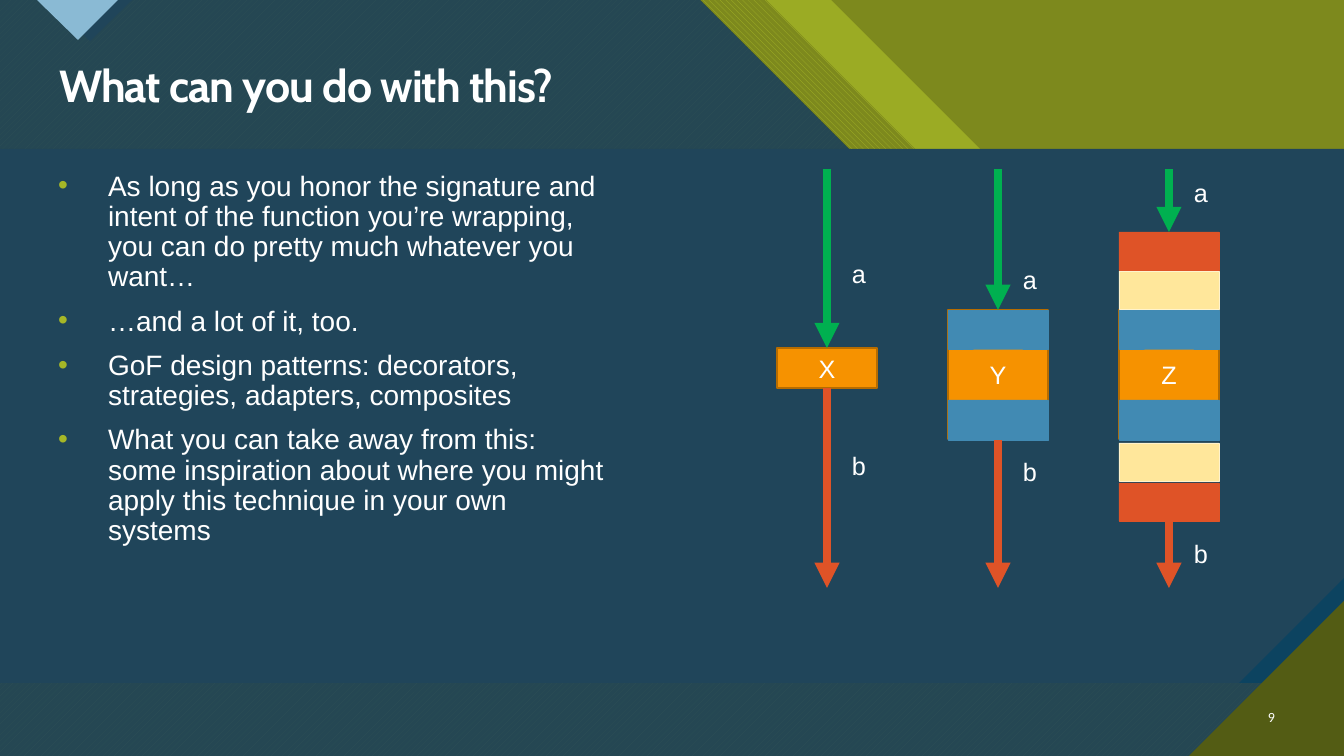
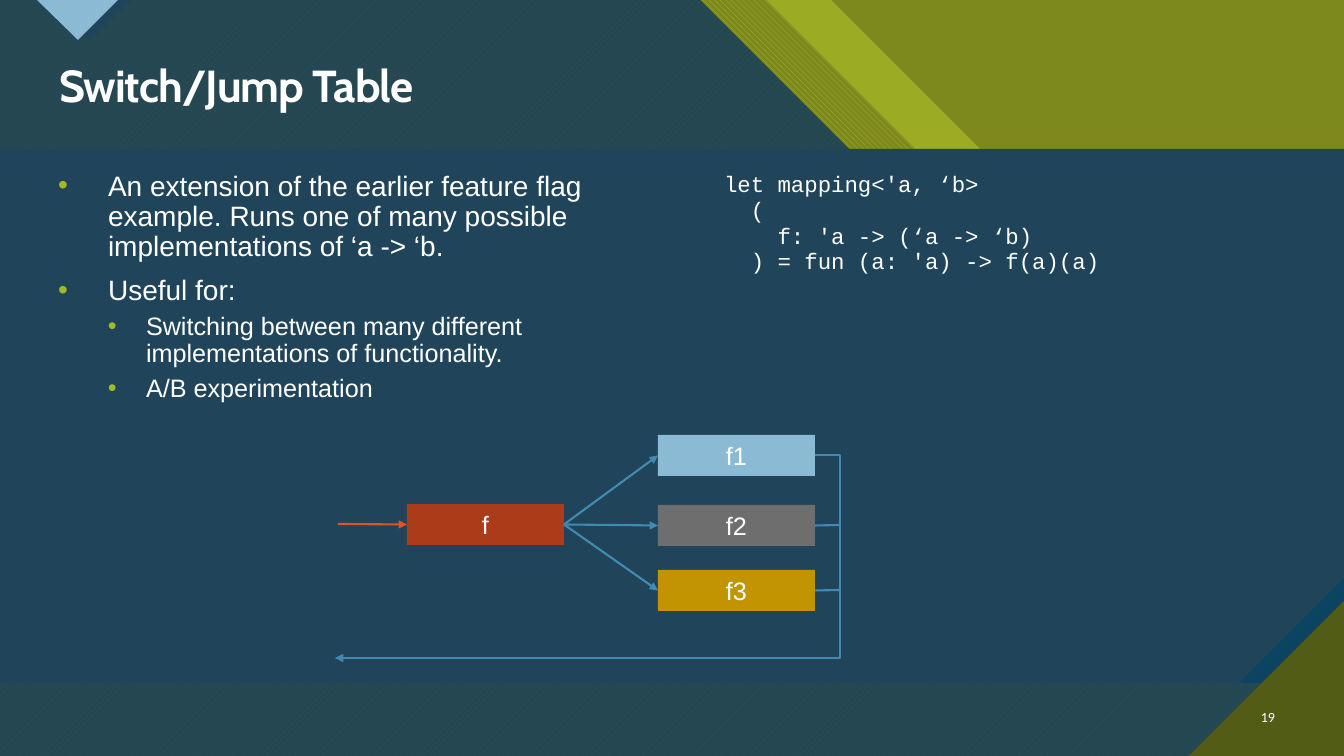
from lxml.etree import SubElement
from pptx import Presentation
from pptx.dml.color import RGBColor
from pptx.enum.dml import MSO_PATTERN_TYPE
from pptx.enum.shapes import MSO_CONNECTOR, MSO_SHAPE
from pptx.enum.text import MSO_ANCHOR, PP_ALIGN
from pptx.oxml.ns import qn
from pptx.util import Pt

PX = 914400 / 100.8
WIDTH, HEIGHT = 1344, 756
COLORS = {name: RGBColor.from_string(value) for name, value in {
    "white": "FFFFFF", "navy": "20455A", "deep_blue": "0C4360", "blue": "418AB3",
    "sky": "8ABAD4", "olive": "7D891D", "dark_olive": "535C14", "lime": "A6B727",
    "orange": "F69200", "brown": "B66C00", "red": "DF5327", "rust": "AB3C19",
    "cream": "FFE79B", "pale_cream": "FFF3CD", "green": "00B050",
    "gray": "6E6E6E", "gold": "C29401",
}.items()}
# Per bullet level: text indent and hanging indent in px, size and space before in points
BULLET_LEVELS = [(50, 50, 20, 10), (88, 38, 18, 5)]


def add_box(slide, area, lines=(), fill=None, outline=None, outline_width=0.5,
            font="Arial", size=18, bold=False, tracking=0, align=PP_ALIGN.LEFT,
            anchor=MSO_ANCHOR.TOP, line_spacing=1.0, bulleted=False, inset=10):
    """Add a filled rectangle, or a text box without fill; bulleted lines are (level, text)."""
    area = [round(length * PX) for length in area]
    if fill:
        shape = slide.shapes.add_shape(MSO_SHAPE.RECTANGLE, *area)
        shape.shadow.inherit = False
        shape.fill.solid()
        shape.fill.fore_color.rgb = COLORS[fill]
        if outline:
            shape.line.color.rgb = COLORS[outline]
            shape.line.width = Pt(outline_width)
        else:
            shape.line.fill.background()
    else:
        shape = slide.shapes.add_textbox(*area)
    frame = shape.text_frame
    frame.word_wrap = True
    frame.vertical_anchor = anchor
    frame.margin_left = frame.margin_right = round(inset * PX)
    for index, line in enumerate(lines):
        paragraph = frame.paragraphs[0] if index == 0 else frame.add_paragraph()
        if bulleted:
            level, line = line
            indent, hanging, size, space_before = BULLET_LEVELS[level]
            paragraph.level = level
            properties = paragraph._p.get_or_add_pPr()
            properties.set("marL", str(round(indent * PX)))
            properties.set("indent", str(round(-hanging * PX)))
            bullet_color = SubElement(properties, qn("a:buClr"))
            SubElement(bullet_color, qn("a:srgbClr"), val=str(COLORS["lime"]))
            SubElement(properties, qn("a:buFont"), typeface="Arial")
            SubElement(properties, qn("a:buChar"), char="•")
            if index:
                paragraph.space_before = Pt(space_before)
        paragraph.alignment = align
        paragraph.line_spacing = line_spacing
        run = paragraph.add_run()
        run.text = line
        run.font.name = font
        run.font.size = Pt(size)
        run.font.bold = bold
        run.font.color.rgb = COLORS["white"]
        if tracking:
            run._r.get_or_add_rPr().set("spc", str(tracking))
    return shape


def add_line(slide, start, end, color, width=1.5, arrow=True, kind=MSO_CONNECTOR.STRAIGHT):
    points = [round(length * PX) for length in (*start, *end)]
    connector = slide.shapes.add_connector(kind, *points)
    connector.line.color.rgb = COLORS[color]
    connector.line.width = Pt(width)
    if arrow:
        SubElement(connector.line._get_or_add_ln(), qn("a:tailEnd"), type="triangle")
    SubElement(connector._element.spPr, qn("a:effectLst"))
    return connector


presentation = Presentation()
presentation.slide_width = round(WIDTH * PX)
presentation.slide_height = round(HEIGHT * PX)

# Shared backdrop: outline, colour, opacity, pattern with its second colour
FULL = [(0, 0), (WIDTH, 0), (WIDTH, HEIGHT), (0, HEIGHT)]
lime_area, striped_area, header_area = [
    [(0, 0), (edge, 0), (edge + 300, 300), (step, 300),
     (WIDTH, 300 + WIDTH - step), (WIDTH, HEIGHT), (0, HEIGHT)]
    for edge, step in [(831, 1244), (766, 1192), (700, 1127)]
]
PANEL_TOP, PANEL_BOTTOM, PANEL_CUT = 149, 683, 105
BACKDROP = [
    (FULL, "olive", 100, None, None),
    (lime_area, "lime", 74, None, None),
    (striped_area, "lime", 100, MSO_PATTERN_TYPE.WIDE_DOWNWARD_DIAGONAL, "olive"),
    (header_area, "lime", 100, MSO_PATTERN_TYPE.WIDE_UPWARD_DIAGONAL, "dark_olive"),
    (header_area, "navy", 90, None, None),
    ([(48, 0), (132, 0), (90, 41)], "navy", 100, None, None),
    ([(37, 0), (118, 0), (78, 40)], "sky", 100, None, None),
    ([(0, PANEL_TOP), (WIDTH, PANEL_TOP), (WIDTH, PANEL_BOTTOM), (0, PANEL_BOTTOM)],
     "deep_blue", 100, None, None),
    ([(0, PANEL_TOP), (WIDTH, PANEL_TOP), (WIDTH, PANEL_BOTTOM - PANEL_CUT),
      (WIDTH - PANEL_CUT, PANEL_BOTTOM), (0, PANEL_BOTTOM)], "navy", 100, None, None),
    ([(1189, HEIGHT), (WIDTH, HEIGHT), (WIDTH, 601)], "dark_olive", 100, None, None),
]

CONTENTS = [
    ("What can you do with this?", "9", [
        (0, "As long as you honor the signature and intent of the function you’re wrapping, "
            "you can do pretty much whatever you want…"),
        (0, "…and a lot of it, too."),
        (0, "GoF design patterns: decorators, strategies, adapters, composites"),
        (0, "What you can take away from this: some inspiration about where you might "
            "apply this technique in your own systems"),
    ]),
    ("Switch/Jump Table", "19", [
        (0, "An extension of the earlier feature flag example. Runs one of many possible "
            "implementations of ‘a -> ‘b."),
        (0, "Useful for:"),
        (1, "Switching between many different implementations of functionality."),
        (1, "A/B experimentation"),
    ]),
]

slides = []
for title, number, bullets in CONTENTS:
    slide = presentation.slides.add_slide(presentation.slide_layouts[6])
    for outline, color, opacity, pattern, back_color in BACKDROP:
        builder = slide.shapes.build_freeform(*outline[0], scale=PX)
        builder.add_line_segments(outline[1:], close=True)
        shape = builder.convert_to_shape()
        shape.shadow.inherit = False
        shape.line.fill.background()
        if pattern:
            shape.fill.patterned()
            shape.fill.pattern = pattern
            shape.fill.back_color.rgb = COLORS[back_color]
        else:
            shape.fill.solid()
        shape.fill.fore_color.rgb = COLORS[color]
        if opacity < 100:
            color_element = shape._element.spPr.find(".//" + qn("a:srgbClr"))
            SubElement(color_element, qn("a:alpha"), val=str(opacity * 1000))
    add_box(slide, (49, 59, 1236, 59), [title], font="Cabin", size=32, bold=True,
            tracking=-70, line_spacing=0.9)
    add_box(slide, (1241, 697, 44, 40), [number], font="Calibri", size=10,
            align=PP_ALIGN.RIGHT, anchor=MSO_ANCHOR.MIDDLE)
    add_box(slide, (48, 167, 572, 514), bullets, bulleted=True, line_spacing=0.9)
    slides.append(slide)
wrapping_slide, switch_slide = slides
CENTERED = {"align": PP_ALIGN.CENTER, "anchor": MSO_ANCHOR.MIDDLE}

# Wrapped functions: name, its top and height, wrapper bands, tops of the labels a and b
BAND_WIDTH, FIRST_COLUMN, COLUMN_PITCH = 100, 777, 171
ARROWS_TOP, ARROWS_BOTTOM = 169, 588
inner_bands = [("blue", "blue", 310, 39), ("blue", "blue", 400, 40)]
outer_bands = [("cream", "pale_cream", 271, 38), ("cream", "pale_cream", 443, 38),
               ("red", "red", 232, 38), ("red", "red", 483, 38)]
COLUMNS = [
    ("X", 348, 40, [], 253, 445),
    ("Y", 310, 129, inner_bands, 259, 451),
    ("Z", 310, 129, inner_bands + outer_bands, 172, 533),
]
for index, (name, top, height, bands, *label_tops) in enumerate(COLUMNS):
    left = FIRST_COLUMN + index * COLUMN_PITCH
    center = left + BAND_WIDTH // 2
    stack = [add_box(wrapping_slide, (left, top, BAND_WIDTH, height), [name],
                     fill="orange", outline="brown", outline_width=1, **CENTERED)]
    for fill, outline, band_top, band_height in bands:
        stack.append(add_box(wrapping_slide, (left, band_top, BAND_WIDTH, band_height),
                             fill=fill, outline=outline))
    arrow_in = add_line(wrapping_slide, (center, ARROWS_TOP), (center, top), "green", 6)
    arrow_in.end_connect(min(stack, key=lambda band: band.top), 0)
    arrow_out = add_line(wrapping_slide, (center, top), (center, ARROWS_BOTTOM), "red", 6)
    arrow_out.begin_connect(max(stack, key=lambda band: band.top), 2)
    for label, label_top in zip("ab", label_tops):
        add_box(wrapping_slide, (left + 75, label_top, 20, 40), [label], inset=0,
                anchor=MSO_ANCHOR.MIDDLE)

# Switch: code and the flow from f to its implementations
code = ["let mapping<'a, ‘b>",
        "  (",
        "    f: 'a -> (‘a -> ‘b)",
        "  ) = fun (a: 'a) -> f(a)(a)"]
add_box(switch_slide, (714, 167, 572, 514), code, font="Courier New", size=16,
        line_spacing=0.96)

NODE_WIDTH, NODE_HEIGHT = 157, 41
SWITCH_LEFT, TARGET_LEFT, SWITCH_TOP = 407, 658, 504
target_right, return_x = TARGET_LEFT + NODE_WIDTH, 840
switch_right, switch_middle = SWITCH_LEFT + NODE_WIDTH, SWITCH_TOP + NODE_HEIGHT // 2
switch_node = add_box(switch_slide, (SWITCH_LEFT, SWITCH_TOP, NODE_WIDTH, NODE_HEIGHT),
                      ["f"], fill="rust", **CENTERED)
input_arrow = add_line(switch_slide, (338, switch_middle), (SWITCH_LEFT, switch_middle), "red")
input_arrow.end_connect(switch_node, 1)

for name, top, fill in [("f1", 435, "sky"), ("f2", 505, "gray"), ("f3", 570, "gold")]:
    middle = top + NODE_HEIGHT // 2
    target = add_box(switch_slide, (TARGET_LEFT, top, NODE_WIDTH, NODE_HEIGHT),
                     [name], fill=fill, **CENTERED)
    branch = add_line(switch_slide, (switch_right, switch_middle), (TARGET_LEFT, middle), "blue")
    branch.begin_connect(switch_node, 3)
    branch.end_connect(target, 1)
    if name == "f1":
        return_end = 335
        return_arrow = add_line(switch_slide, (target_right, middle), (return_end, 658),
                                "blue", kind=MSO_CONNECTOR.ELBOW)
        bend = round(100000 * (return_x - target_right) / (return_end - target_right))
        adjustments = return_arrow._element.spPr.find(".//" + qn("a:avLst"))
        SubElement(adjustments, qn("a:gd"), name="adj1", fmla=f"val {bend}")
    else:
        stub = add_line(switch_slide, (target_right, middle), (return_x, middle),
                        "blue", arrow=False)
        stub.begin_connect(target, 3)

presentation.save("out.pptx")
